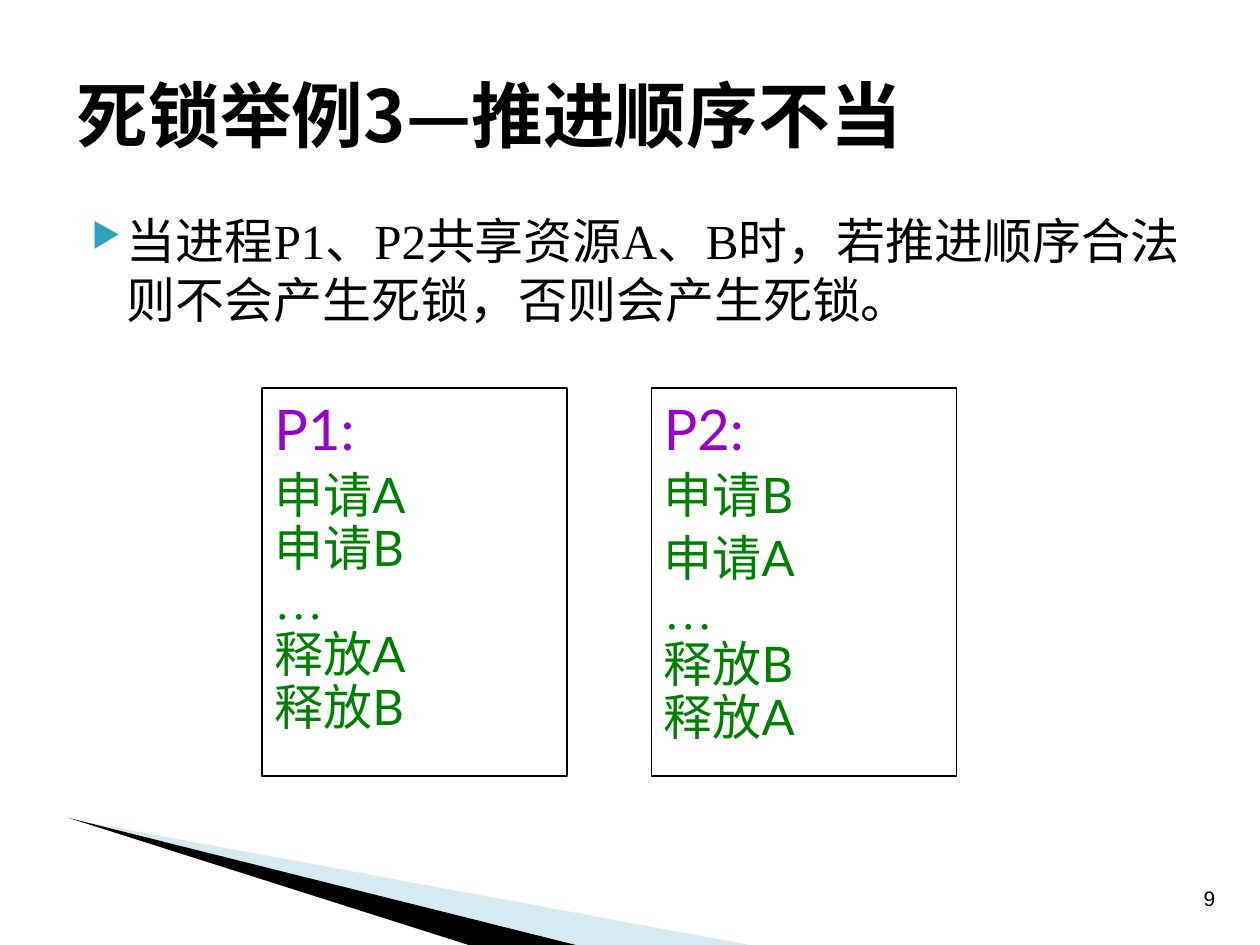
from dataclasses import dataclass

from lxml import etree
from pptx import Presentation
from pptx.dml.color import RGBColor
from pptx.enum.shapes import MSO_SHAPE
from pptx.enum.text import MSO_ANCHOR, PP_ALIGN
from pptx.oxml.ns import qn
from pptx.util import Inches, Pt

RECTANGLE = MSO_SHAPE.RECTANGLE
MIDDLE, TOP = MSO_ANCHOR.MIDDLE, MSO_ANCHOR.TOP
LEFT, CENTER = PP_ALIGN.LEFT, PP_ALIGN.CENTER

COLORS = {
    "ink": "000000",
    "process": "9900CC",
    "step": "008000",
    "bullet": "2DA2BF",
    "wedge": "9FCBDC",
}
CJK, LATO, SERIF, SANS = "Noto Sans CJK SC", "Lato", "Times New Roman", "Arial"
ELLIPSIS = "…"


@dataclass
class Style:
    font: str
    size: float
    color: str = "ink"
    bold: bool = False


@dataclass
class Process:
    name: str
    left: float
    steps: list[str]
    spaced_steps: int  # how many leading steps have space before them


TITLE = Style(CJK, 41, bold=True)
BODY = Style(SERIF, 28)
PAGE_NUMBER = Style(SANS, 12)
PROCESS_NAME = Style(LATO, 32, "process")
STEP = Style(LATO, 28, "step")
ELLIPSIS_STEP = Style(SERIF, 28, "step")

PROCESSES = [
    Process("P1:", 2.08, ["申请A", "申请B", ELLIPSIS, "释放A", "释放B"], 1),
    Process("P2:", 5.17, ["申请B", "申请A", ELLIPSIS, "释放B", "释放A"], 2),
]
WEDGES = [
    ("wedge", 40, [(0.55, 6.5), (5.95, 7.5), (4.56, 7.5)]),
    ("ink", 100, [(0.54, 6.49), (4.57, 7.5), (3.72, 7.5)]),
]


def rgb(name: str) -> RGBColor:
    return RGBColor.from_string(COLORS[name])


def add_run(paragraph, text: str, style: Style) -> None:
    run = paragraph.add_run()
    run.text = text
    run.font.name = style.font
    run.font.size = Pt(style.size)
    run.font.bold = style.bold
    run.font.color.rgb = rgb(style.color)
    east_asian = etree.Element(qn("a:ea"), typeface=CJK)
    run.font._element.find(qn("a:latin")).addnext(east_asian)


def set_indent(paragraph, margin: float, first_line: float) -> None:
    properties = paragraph._p.get_or_add_pPr()
    properties.set("marL", str(Inches(margin)))
    properties.set("indent", str(Inches(first_line)))


def add_bullet(paragraph, char: str, color: str, percent: int) -> None:
    properties = paragraph._p.get_or_add_pPr()
    bullet_color = etree.SubElement(properties, qn("a:buClr"))
    etree.SubElement(bullet_color, qn("a:srgbClr"), val=COLORS[color])
    etree.SubElement(properties, qn("a:buSzPct"), val=str(percent * 1000))
    etree.SubElement(properties, qn("a:buChar"), char=char)


def add_text(slide, box: tuple, text: str, style: Style, anchor=TOP, align=LEFT, wrap=True):
    """Add a one-paragraph text box and return its paragraph."""
    frame = slide.shapes.add_textbox(*map(Inches, box)).text_frame
    frame.word_wrap = wrap
    frame.vertical_anchor = anchor
    paragraph = frame.paragraphs[0]
    paragraph.alignment = align
    add_run(paragraph, text, style)
    return paragraph


def add_wedge(slide, color: str, opacity: int, points: list) -> None:
    corners = [(Inches(x), Inches(y)) for x, y in points]
    builder = slide.shapes.build_freeform(*corners[0])
    builder.add_line_segments(corners[1:], close=True)
    wedge = builder.convert_to_shape()
    wedge.shadow.inherit = False
    wedge.fill.solid()
    wedge.fill.fore_color.rgb = rgb(color)
    wedge.line.fill.background()
    if opacity < 100:
        fill_color = wedge._element.spPr.find(qn("a:solidFill")).find(qn("a:srgbClr"))
        etree.SubElement(fill_color, qn("a:alpha"), val=str(opacity * 1000))


def add_process(slide, process: Process) -> None:
    box = slide.shapes.add_shape(
        RECTANGLE, Inches(process.left), Inches(3.08), Inches(2.42), Inches(3.08)
    )
    box.shadow.inherit = False
    box.fill.background()
    box.line.color.rgb = rgb("ink")
    box.line.width = Pt(0.75)
    frame = box.text_frame
    frame.word_wrap = True
    frame.vertical_anchor = TOP

    heading = frame.paragraphs[0]
    heading.alignment = LEFT
    set_indent(heading, 0.38, -0.38)
    add_run(heading, process.name, PROCESS_NAME)

    for index, step in enumerate(process.steps):
        line = frame.add_paragraph()
        line.alignment = LEFT
        line.line_spacing = 0.9
        line.space_before = Pt(5.6 if index < process.spaced_steps else 0)
        set_indent(line, 0.38, -0.38)
        add_run(line, step, ELLIPSIS_STEP if step == ELLIPSIS else STEP)


def main() -> None:
    deck = Presentation()
    deck.slide_width, deck.slide_height = Inches(10), Inches(7.5)
    slide = deck.slides.add_slide(deck.slide_layouts[6])

    for wedge in WEDGES:
        add_wedge(slide, *wedge)
    add_text(slide, (9.4, 6.98, 0.4, 0.3), "9", PAGE_NUMBER, MIDDLE, CENTER, wrap=False)
    add_text(slide, (0.51, 0.28, 9, 1.25), "死锁举例3—推进顺序不当", TITLE, MIDDLE)
    statement = add_text(
        slide,
        (0.51, 1.62, 9, 1.32),
        "当进程P1、P2共享资源A、B时，若推进顺序合法则不会产生死锁，否则会产生死锁。",
        BODY,
    )
    set_indent(statement, 0.4, -0.28)
    add_bullet(statement, "▶", "bullet", 68)
    for process in PROCESSES:
        add_process(slide, process)

    deck.save("out.pptx")


if __name__ == "__main__":
    main()
